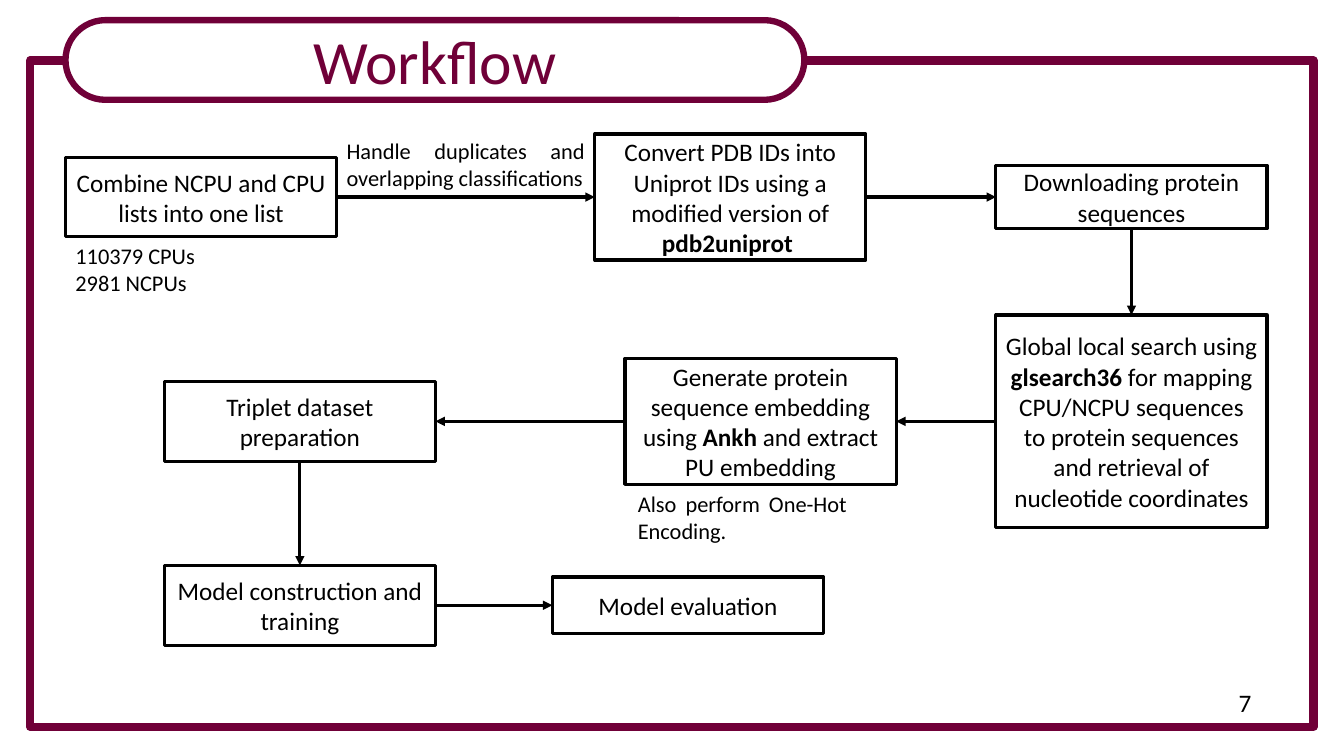
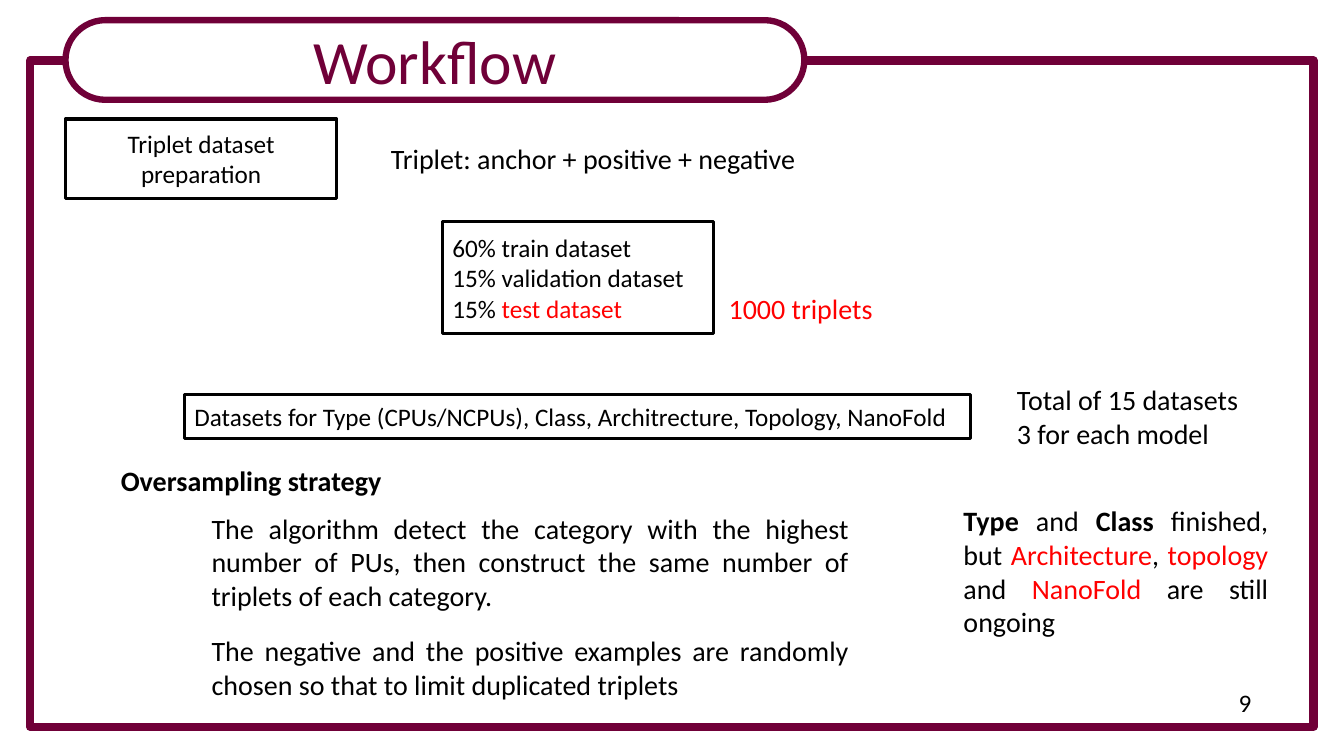
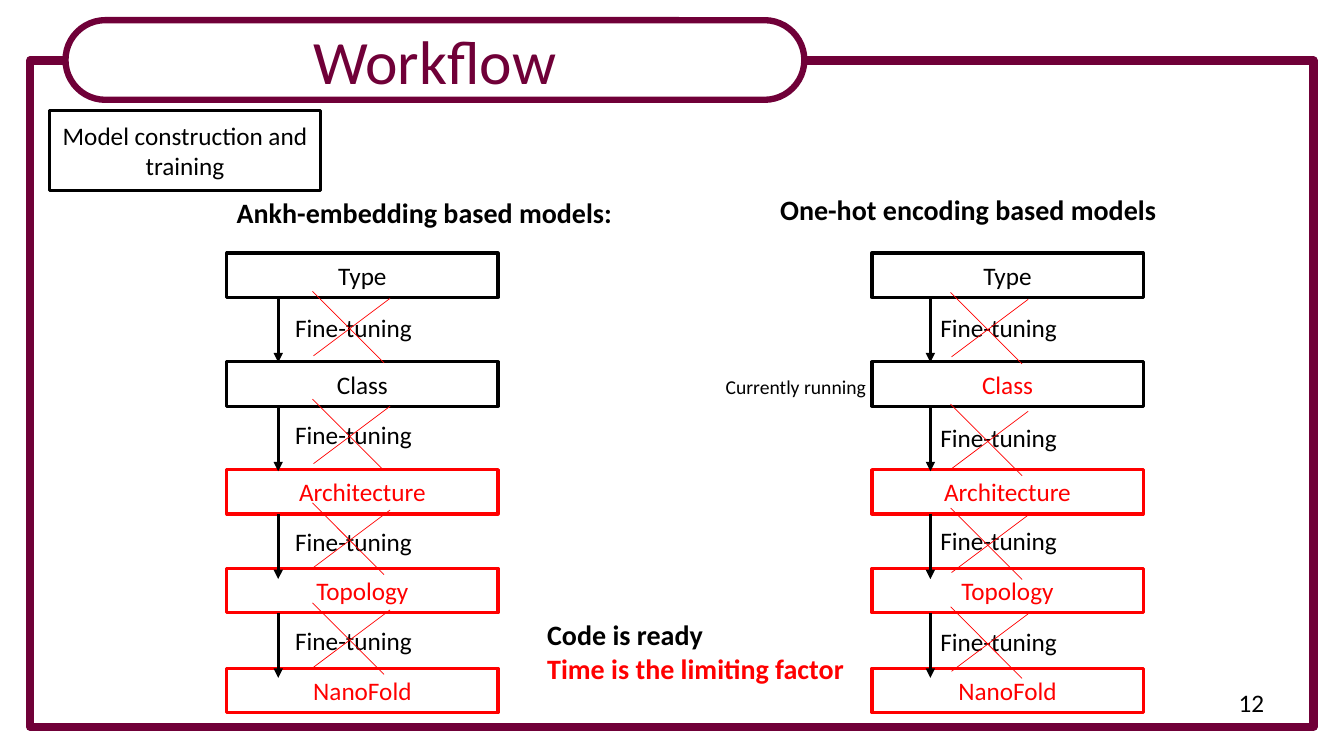
"""Build three workflow slides on a grid of tenth-inch columns and rows."""
from lxml import etree
from pptx import Presentation
from pptx import util as u
from pptx.dml.color import RGBColor
from pptx.enum import shapes, text
from pptx.oxml.ns import qn

PLUM = RGBColor(0x70, 0x00, 0x38)
BLACK = RGBColor(0x00, 0x00, 0x00)
WHITE = RGBColor(0xFF, 0xFF, 0xFF)
RED = RGBColor(0xFF, 0x00, 0x00)
FONT = "Calibri"
COLS, ROWS = 133.33, 75
NODE_W = 26.9
BAR_H = 4.4
CENTER, JUSTIFY = text.PP_ALIGN.CENTER, text.PP_ALIGN.JUSTIFY
BOLD = {"bold": True}
IN_RED = {"color": RED}
TOP, LEFT, BOTTOM, RIGHT = range(4)


def grid(*cells):
    return [u.Inches(n / 10) for n in cells]


def write(tf, paras, align=JUSTIFY, **fmt):
    tf.word_wrap = True
    paras = [paras] if isinstance(paras, str) else paras
    for i, runs in enumerate(paras):
        p = tf.add_paragraph() if i else tf.paragraphs[0]
        p.alignment = align
        for run in [runs] if isinstance(runs, str) else runs:
            words, own = (run, {}) if isinstance(run, str) else run
            look = {"size": 18, "color": BLACK, "bold": False, **fmt, **own}
            r = p.add_run()
            r.text = words
            r.font.name = FONT
            r.font.size = u.Pt(look["size"])
            r.font.bold = look["bold"]
            r.font.color.rgb = look["color"]


class Deck:
    def __init__(self):
        self.prs = Presentation()
        self.prs.slide_width, self.prs.slide_height = grid(COLS, ROWS)
        self.s = None

    def slide(self, title, number):
        self.s = self.prs.slides.add_slide(self.prs.slide_layouts[6])
        self.shape(3, 6, 127.3, 66.1, line=PLUM, weight=6, fill=None)
        sp = self.shape(6.5, 2, 73.3, 7.9, line=PLUM, weight=4.5,
                        kind=shapes.MSO_SHAPE.ROUNDED_RECTANGLE)
        sp.adjustments[0] = 0.5
        write(sp.text_frame, title, CENTER, size=44, color=PLUM)
        self.label(121.9, 67.7, 7.4, 4, str(number), align=text.PP_ALIGN.LEFT)

    def shape(self, x, y, w, h, line=BLACK, weight=2.25, fill=WHITE,
              kind=shapes.MSO_SHAPE.RECTANGLE):
        sp = self.s.shapes.add_shape(kind, *grid(x, y, w, h))
        sp.shadow.inherit = False
        sp.line.color.rgb = line
        sp.line.width = u.Pt(weight)
        if fill is None:
            sp.fill.background()
        else:
            sp.fill.solid()
            sp.fill.fore_color.rgb = fill
        sp.text_frame.vertical_anchor = text.MSO_ANCHOR.MIDDLE
        return sp

    def node(self, x, middle, h, words, w=NODE_W, line=BLACK, align=CENTER, **fmt):
        sp = self.shape(x, middle - h / 2, w, h, line)
        write(sp.text_frame, words, align, **fmt)
        return sp

    def label(self, x, y, w, h, words, **fmt):
        tf = self.s.shapes.add_textbox(*grid(x, y, w, h)).text_frame
        write(tf, words, **fmt)

    def line(self, x1, y1, x2, y2, color=BLACK, weight=2.25, arrow=True):
        c = self.s.shapes.add_connector(shapes.MSO_CONNECTOR.STRAIGHT,
                                        *grid(x1, y1, x2, y2))
        c.line.color.rgb = color
        c.line.width = u.Pt(weight)
        sp_pr = c._element.spPr
        if arrow:
            etree.SubElement(sp_pr.find(qn("a:ln")), qn("a:tailEnd"), type="triangle")
        etree.SubElement(sp_pr, qn("a:effectLst"))
        return c

    def link(self, start, out, end, into):
        c = self.line(0, 0, 1, 1)
        c.begin_connect(start, out)
        c.end_connect(end, into)

    def cross(self, x, y):
        for ends in ((x, y, x + 7.1, y + 7.1), (x + 7.7, y + 0.7, x + 0.1, y + 6.4)):
            self.line(*ends, color=RED, weight=0.5, arrow=False)

    def ladder(self, x, stages, arrow_x, label_x, label_ys, cross_x, cross_ys):
        tops = (25.1, 35.9, 46.6, 56.4, 66.3)
        for top, (name, line, color) in zip(tops, stages):
            self.node(x, top + BAR_H / 2, BAR_H, name, line=line, color=color)
        for top, label_y, cross_y in zip(tops, label_ys, cross_ys):
            bottom = top + BAR_H
            self.line(arrow_x, bottom, arrow_x, bottom + 6.45)
            self.label(label_x, label_y, 18.8, 4, "Fine-tuning")
            self.cross(cross_x, cross_y)


def overview(d):
    d.slide("Workflow", 7)
    row1, row2, row3 = 19.55, 41.8, 60.05
    combine = d.node(6.5, row1, 7.9, "Combine NCPU and CPU lists into one list")
    convert = d.node(59, row1, 12.5, [[
        "Convert PDB IDs into Uniprot IDs using a modified version of ",
        ("pdb2uniprot ", BOLD)]])
    download = d.node(98.8, row1, 6.3, "Downloading protein sequences")
    search = d.node(98.8, row2, 21.1, [[
        "Global local search using ", ("glsearch36", BOLD),
        " for mapping CPU/NCPU sequences to protein sequences"
        " and retrieval of nucleotide coordinates"]])
    embed = d.node(62, row2, 12.5, [[
        "Generate protein sequence embedding using ", ("Ankh", BOLD),
        " and extract PU embedding"]])
    triplet = d.node(16.3, row2, 7.9, "Triplet dataset preparation")
    model = d.node(16.3, row3, 7.9, "Model construction and training")
    evaluate = d.node(54.8, row3, 5.6, "Model evaluation")
    for joint in ((combine, RIGHT, convert, LEFT), (convert, RIGHT, download, LEFT),
                  (download, BOTTOM, search, TOP), (search, LEFT, embed, RIGHT),
                  (embed, LEFT, triplet, RIGHT), (triplet, BOTTOM, model, TOP),
                  (model, RIGHT, evaluate, LEFT)):
        d.link(*joint)
    d.label(6.5, 23.5, 15.6, 6.4, ["110379 CPUs", "2981 NCPUs"], size=16)
    d.label(33.4, 13.1, 25.6, 6.4,
            "Handle duplicates and overlapping classifications", size=16)
    d.label(62.3, 48.1, 22.7, 6.4, "Also perform One-Hot Encoding.", size=16)


def triplets(d):
    d.slide("Workflow", 9)
    d.node(6.5, 15.75, 7.9, "Triplet dataset preparation")
    d.node(43.9, 27.55, 11.1, ["60% train dataset", "15% validation dataset",
                               ["15% ", ("test dataset", IN_RED)]], align=JUSTIFY)
    d.node(18.3, 41.3, BAR_H,
           "Datasets for Type (CPUs/NCPUs), Class, Architrecture, Topology, NanoFold",
           w=78, align=JUSTIFY)
    d.label(37.8, 13.5, 53.6, 4.4, "Triplet: anchor + positive + negative", size=20)
    d.label(71.3, 28.4, 19.6, 4.4, "1000 triplets", size=20, color=RED)
    d.label(99.9, 37.5, 26.8, 7.7, ["Total of 15 datasets", "3 for each model"], size=20)
    d.label(11, 45.5, 53.6, 4.4, "Oversampling strategy", size=20, bold=True)
    d.label(20, 50.2, 65.2, 11.1,
            "The algorithm detect the category with the highest number of PUs, "
            "then construct the same number of triplets of each category.", size=20)
    d.label(20, 62.4, 65.2, 7.7,
            "The negative and the positive examples are randomly chosen "
            "so that to limit duplicated triplets", size=20)
    d.label(94.6, 49.5, 32.2, 14.5, [[
        ("Type", BOLD), " and ", ("Class", BOLD), " finished, but ",
        ("Architecture", IN_RED), ", ", ("topology", IN_RED), " and ",
        ("NanoFold", IN_RED), " are still ongoing"]], size=20)


def models(d):
    d.slide("Workflow", 12)
    d.node(4.9, 14.95, 7.9, "Model construction and training")
    d.label(22.5, 18.9, 41.8, 4.4, "Ankh-embedding based models:", size=20, bold=True)
    d.label(76.4, 18.6, 41.8, 4.4, "One-hot encoding based models", size=20, bold=True)
    first = ("Type", BLACK, BLACK)
    pending = [(name, RED, RED) for name in ("Architecture", "Topology", "NanoFold")]
    d.ladder(22.5, [first, ("Class", BLACK, BLACK), *pending], 27.6,
             28.3, (30.5, 41.1, 51.7, 61.5), 31, (28.9, 39.6, 49.9, 59.8))
    d.ladder(86.5, [first, ("Class", BLACK, RED), *pending], 92.3,
             92.3, (30.5, 41.4, 51.6, 61.6), 94.3, (29, 40.1, 50.4, 60.2))
    d.label(53.3, 60.8, 33.4, 7.7,
            ["Code is ready", [("Time is the limiting factor", IN_RED)]],
            size=20, bold=True)
    d.label(71, 36.7, 25.3, 3.4, "Currently running", size=14)


def main():
    d = Deck()
    for build in (overview, triplets, models):
        build(d)
    d.prs.save("out.pptx")


if __name__ == "__main__":
    main()
